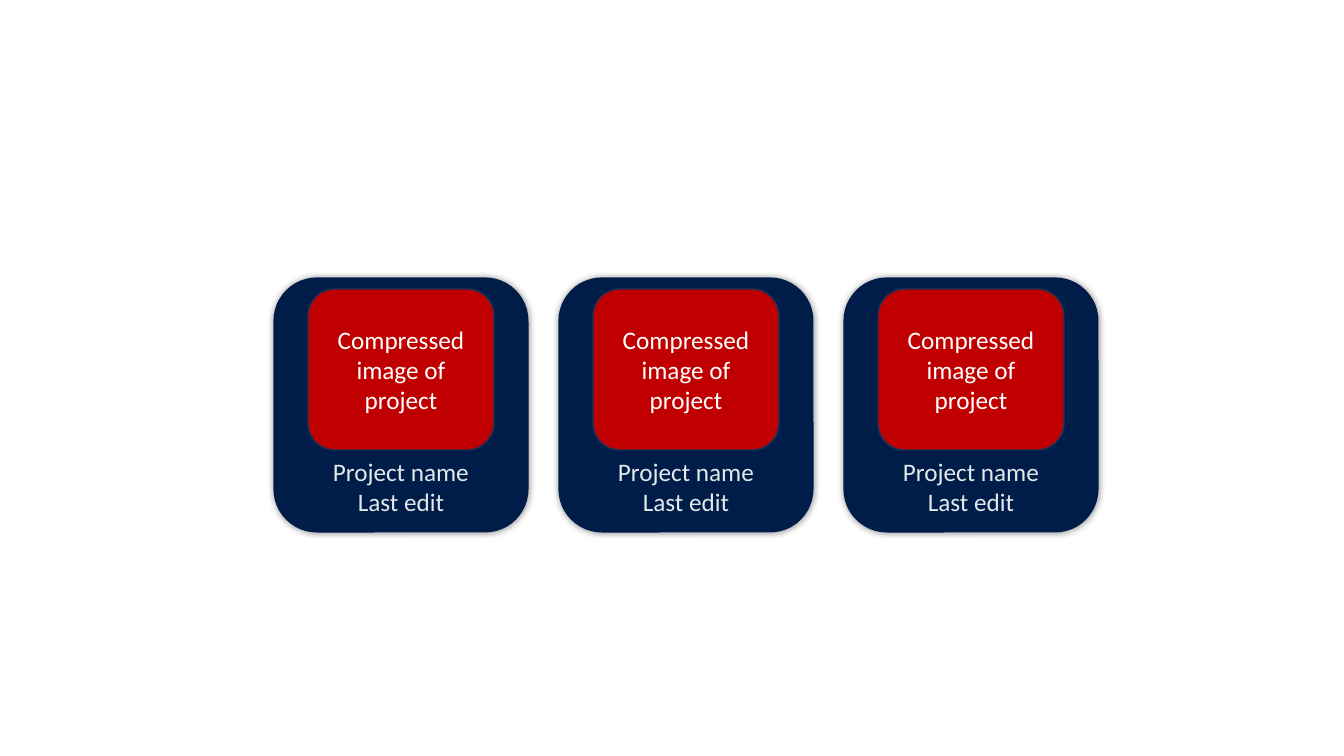
from dataclasses import dataclass

from lxml import etree
from pptx import Presentation
from pptx.dml.color import RGBColor
from pptx.enum.shapes import MSO_SHAPE
from pptx.enum.text import MSO_ANCHOR, MSO_AUTO_SIZE, PP_ALIGN
from pptx.oxml.ns import qn
from pptx.shapes.autoshape import Shape
from pptx.slide import Slide
from pptx.util import Emu, Pt

ROUNDED = MSO_SHAPE.ROUNDED_RECTANGLE
CENTER = PP_ALIGN.CENTER
MIDDLE = MSO_ANCHOR.MIDDLE
TOP = MSO_ANCHOR.TOP
GROW = MSO_AUTO_SIZE.SHAPE_TO_FIT_TEXT

PX_PER_INCH = 100.8
SLIDE_W, SLIDE_H = 1344, 756
CARD_LEFT, CARD_TOP, CARD_PITCH = 275, 279, 285
FONT_FORMAT = {"name": "Calibri", "size": Pt(18)}


@dataclass(frozen=True)
class Box:
    """Position within a card and size, in px."""
    dx: int
    dy: int
    width: int
    height: int


@dataclass(frozen=True)
class Panel:
    box: Box
    fill: str
    line: str
    line_pt: float


@dataclass(frozen=True)
class Project:
    preview: str
    caption: tuple[str, ...]


CARD = Panel(Box(0, 0, 252, 252), "001C48", "001C48", 2.25)
PREVIEW = Panel(Box(33, 10, 186, 161), "C00000", "1E3256", 1)
CAPTION_BOX = Box(45, 172, 162, 72)
PROJECTS = [Project("Compressed image of project", ("Project name", "Last edit"))] * 3


def px(length: int) -> Emu:
    return Emu(round(length * 914400 / PX_PER_INCH))


def color(value: str) -> RGBColor:
    return RGBColor.from_string(value)


def place(box: Box, card_left: int) -> tuple[Emu, Emu, Emu, Emu]:
    return (px(card_left + box.dx), px(CARD_TOP + box.dy),
            px(box.width), px(box.height))


def add_panel(slide: Slide, panel: Panel, card_left: int) -> Shape:
    shape = slide.shapes.add_shape(ROUNDED, *place(panel.box, card_left))
    shape.shadow.inherit = False
    shape.fill.solid()
    shape.fill.fore_color.rgb = color(panel.fill)
    shape.line.color.rgb = color(panel.line)
    shape.line.width = Pt(panel.line_pt)
    return shape


def add_glow_shadow(shape: Shape) -> None:
    """Soft black shadow spreading evenly around the shape."""
    effects = shape.element.spPr.find(qn("a:effectLst"))
    shadow = etree.SubElement(effects, qn("a:outerShdw"), blurRad=str(Pt(5)),
                              dist="0", dir="0", algn="ctr", rotWithShape="0")
    black = etree.SubElement(shadow, qn("a:srgbClr"), val="000000")
    etree.SubElement(black, qn("a:alpha"), val="44000")


def write(shape: Shape, lines: tuple[str, ...], text_color: str,
          frame_format: dict[str, object]) -> None:
    frame = shape.text_frame
    for attribute, value in frame_format.items():
        setattr(frame, attribute, value)
    for index, line in enumerate(lines):
        paragraph = frame.add_paragraph() if index else frame.paragraphs[0]
        paragraph.alignment = CENTER
        run = paragraph.add_run()
        run.text = line
        for attribute, value in FONT_FORMAT.items():
            setattr(run.font, attribute, value)
        run.font.color.rgb = color(text_color)


def add_project(slide: Slide, project: Project, card_left: int) -> None:
    # Card background
    add_glow_shadow(add_panel(slide, CARD, card_left))
    # Name and edit date
    caption = slide.shapes.add_textbox(*place(CAPTION_BOX, card_left))
    write(caption, project.caption, "E2E9EB",
          {"word_wrap": True, "vertical_anchor": TOP, "auto_size": GROW})
    # Preview tile
    preview = add_panel(slide, PREVIEW, card_left)
    write(preview, (project.preview,), "FFFFFF",
          {"word_wrap": True, "vertical_anchor": MIDDLE})


def main() -> None:
    deck = Presentation()
    deck.slide_width, deck.slide_height = px(SLIDE_W), px(SLIDE_H)
    slide = deck.slides.add_slide(deck.slide_layouts[6])
    for index, project in enumerate(PROJECTS):
        add_project(slide, project, CARD_LEFT + index * CARD_PITCH)
    deck.save("out.pptx")


if __name__ == "__main__":
    main()
